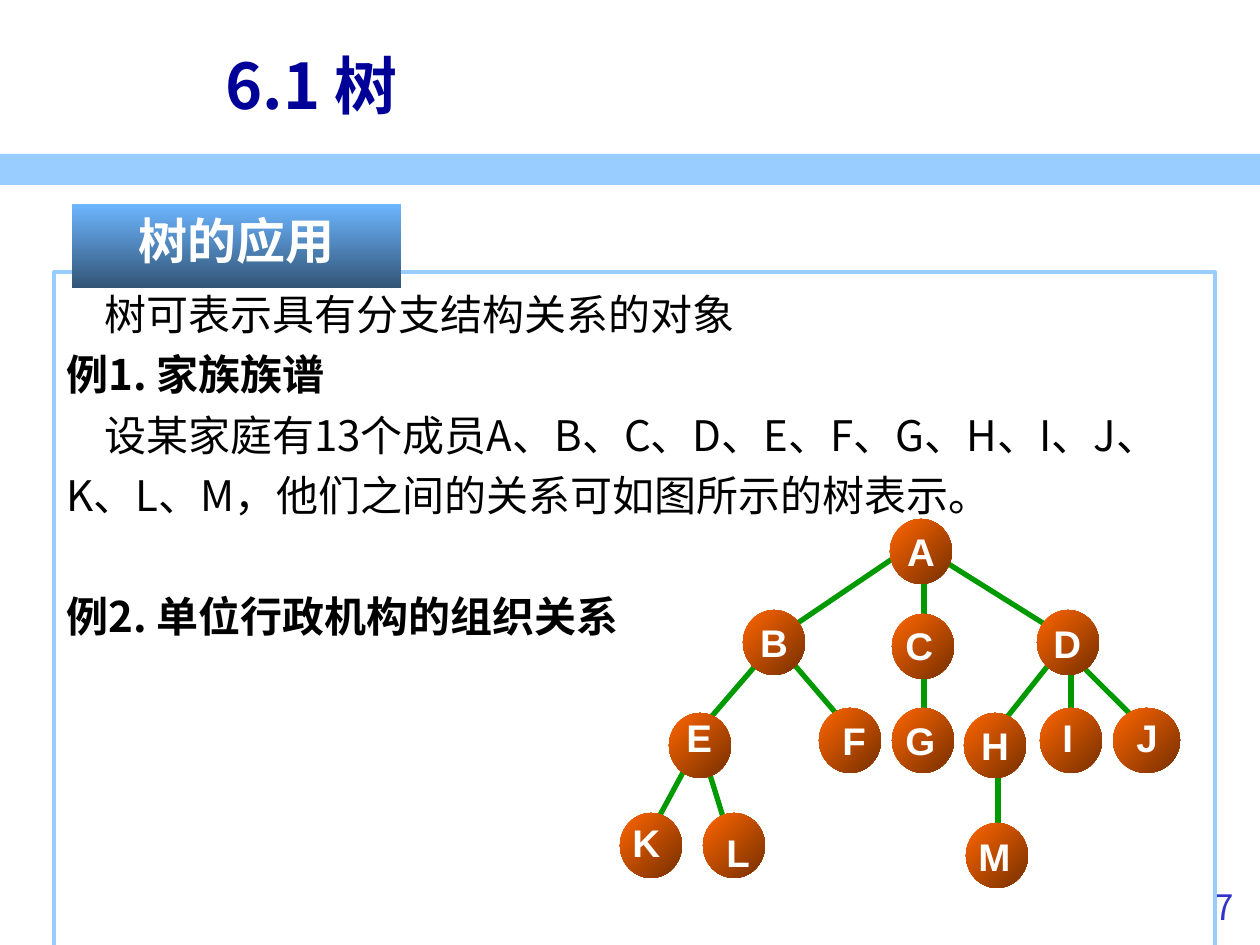
from lxml.etree import SubElement
from pptx import Presentation
from pptx.dml.color import RGBColor
from pptx.enum.shapes import MSO_CONNECTOR as Connector, MSO_SHAPE as Shape
from pptx.enum.text import MSO_ANCHOR as Anchor, PP_ALIGN as Align
from pptx.oxml.ns import qn
from pptx.util import Emu, Pt

PX = 7257600 // 1008 * 127
SCALE = 914400 / 126
COLORS = {
    "band": "99CCFF", "title": "000099", "body": "000000", "number": "3333CC",
    "white": "FFFFFF", "branch": "009900", "node_light": "FF6600",
    "node_dark": "762F00", "tag_light": "6DB6FF", "tag_dark": "325476",
}
CJK, LATIN = "Noto Sans CJK SC", "Arial"
FIRST_INDENT = 38
NODE_WIDTH, NODE_HEIGHT, LABEL_HEIGHT = 62, 65, 59

BODY = [
    {"text": "树可表示具有分支结构关系的对象", "indent": FIRST_INDENT},
    {"text": "例1. 家族族谱", "bold": True},
    {"text": "设某家庭有13个成员A、B、C、D、E、F、G、H、I、J、K、L、M，"
             "他们之间的关系可如图所示的树表示。", "indent": FIRST_INDENT},
    {"text": "例2. 单位行政机构的组织关系", "bold": True, "before": 34.5},
]
BRANCHES = [
    ((1071, 665), (1071, 718)), ((939, 558), (1062, 635)),
    ((907, 549), (780, 635)), ((1061, 645), (1134, 718)),
    ((1062, 648), (1000, 726)), ((780, 648), (840, 718)),
    ((756, 665), (693, 738)), ((998, 760), (998, 844)),
    ((924, 561), (924, 655)), ((924, 677), (924, 740)),
    ((707, 765), (731, 843)), ((694, 752), (645, 843)),
]
CENTERED_NODES = {"A": (890, 519), "B": (743, 610), "H": (964, 713)}
LABELLED_NODES = {
    "K": ((620, 813), (620, 813, 53)), "L": ((703, 813), (714, 823, 48)),
    "C": ((892, 614), (893, 616, 53)), "G": ((892, 708), (893, 711, 55)),
    "I": ((1040, 708), (1050, 708, 42)), "M": ((966, 823), (966, 827, 57)),
    "E": ((669, 713), (674, 708, 50)), "F": ((819, 708), (830, 711, 48)),
    "J": ((1113, 708), (1124, 708, 44)), "D": ((1037, 610), (1041, 614, 53)),
}
WIDE_NODES = {"J": 67}


def px(value):
    return Emu(round(value * SCALE))


def color(name):
    return RGBColor.from_string(COLORS[name])


def add_shape(slide, kind, box, fill=None, gradient=None, angle=0):
    shape = slide.shapes.add_shape(kind, *map(px, box))
    shape.shadow.inherit = False
    shape.line.fill.background()
    if gradient:
        shape.fill.gradient()
        shape.fill.gradient_angle = 360 - angle
        for stop, name in zip(shape.fill.gradient_stops, gradient):
            stop.color.rgb = color(name)
    elif fill:
        shape.fill.solid()
        shape.fill.fore_color.rgb = color(fill)
    else:
        shape.fill.background()
    return shape


def add_run(paragraph, text, size, font, ink, bold=False):
    run = paragraph.add_run()
    run.text = text
    run.font.size = Pt(size)
    run.font.name = font
    run.font.bold = bold
    run.font.color.rgb = color(ink)
    SubElement(run.font._element, qn("a:ea"), typeface=font)


def write(shape, text, size, font, ink, bold=False, align=Align.LEFT,
          anchor=Anchor.TOP, wrap=True):
    frame = shape.text_frame
    frame.word_wrap = wrap
    frame.vertical_anchor = anchor
    paragraph = frame.paragraphs[0]
    paragraph.alignment = align
    add_run(paragraph, text, size, font, ink, bold)


def add_text(slide, box, *args, **options):
    write(slide.shapes.add_textbox(*map(px, box)), *args, **options)


def add_body(slide):
    body = add_shape(slide, Shape.RECTANGLE, (54, 272, 1161, 678))
    body.line.color.rgb = color("band")
    body.line.width = Pt(2.25)
    frame = body.text_frame
    frame.word_wrap = True
    frame.vertical_anchor = Anchor.TOP
    for index, item in enumerate(BODY):
        paragraph = frame.add_paragraph() if index else frame.paragraphs[0]
        paragraph.alignment = Align.LEFT
        paragraph.line_spacing = 1.2
        if "before" in item:
            paragraph.space_before = Pt(item["before"])
        if "indent" in item:
            paragraph._p.get_or_add_pPr().set("indent", str(px(item["indent"])))
        add_run(paragraph, item["text"], 24, CJK, "body", item.get("bold", False))


def add_branch(slide, start, end):
    line = slide.shapes.add_connector(Connector.STRAIGHT, *map(px, start + end))
    line.line.color.rgb = color("branch")
    line.line.width = Pt(3)
    SubElement(line._element.spPr, qn("a:effectLst"))


def add_node(slide, name, position):
    box = (*position, WIDE_NODES.get(name, NODE_WIDTH), NODE_HEIGHT)
    return add_shape(slide, Shape.OVAL, box,
                     gradient=("node_light", "node_dark"), angle=45)


def add_tree(slide):
    for start, end in BRANCHES:
        add_branch(slide, start, end)
    for name, position in CENTERED_NODES.items():
        write(add_node(slide, name, position), name, 22, LATIN, "white", True,
              Align.CENTER, Anchor.MIDDLE, wrap=False)
    for name, (position, label) in LABELLED_NODES.items():
        add_node(slide, name, position)
        add_text(slide, (*label, LABEL_HEIGHT), name, 22, LATIN, "white", True,
                 wrap=False)


def main():
    presentation = Presentation()
    presentation.slide_width, presentation.slide_height = px(1260), px(945)
    slide = presentation.slides.add_slide(presentation.slide_layouts[6])
    add_shape(slide, Shape.RECTANGLE, (0, 154, 1260, 31), fill="band")
    add_text(slide, (1126, 879, 120, 66), "7", 20, CJK, "number", align=Align.RIGHT)
    add_text(slide, (213, 26, 1032, 116), "6.1 树", 36, CJK, "title", True,
             anchor=Anchor.MIDDLE)
    add_body(slide)
    add_tree(slide)
    tag = add_shape(slide, Shape.RECTANGLE, (72, 204, 329, 84),
                    gradient=("tag_light", "tag_dark"), angle=90)
    write(tag, "树的应用", 28, CJK, "white", True, Align.CENTER)
    presentation.save("out.pptx")


if __name__ == "__main__":
    main()
